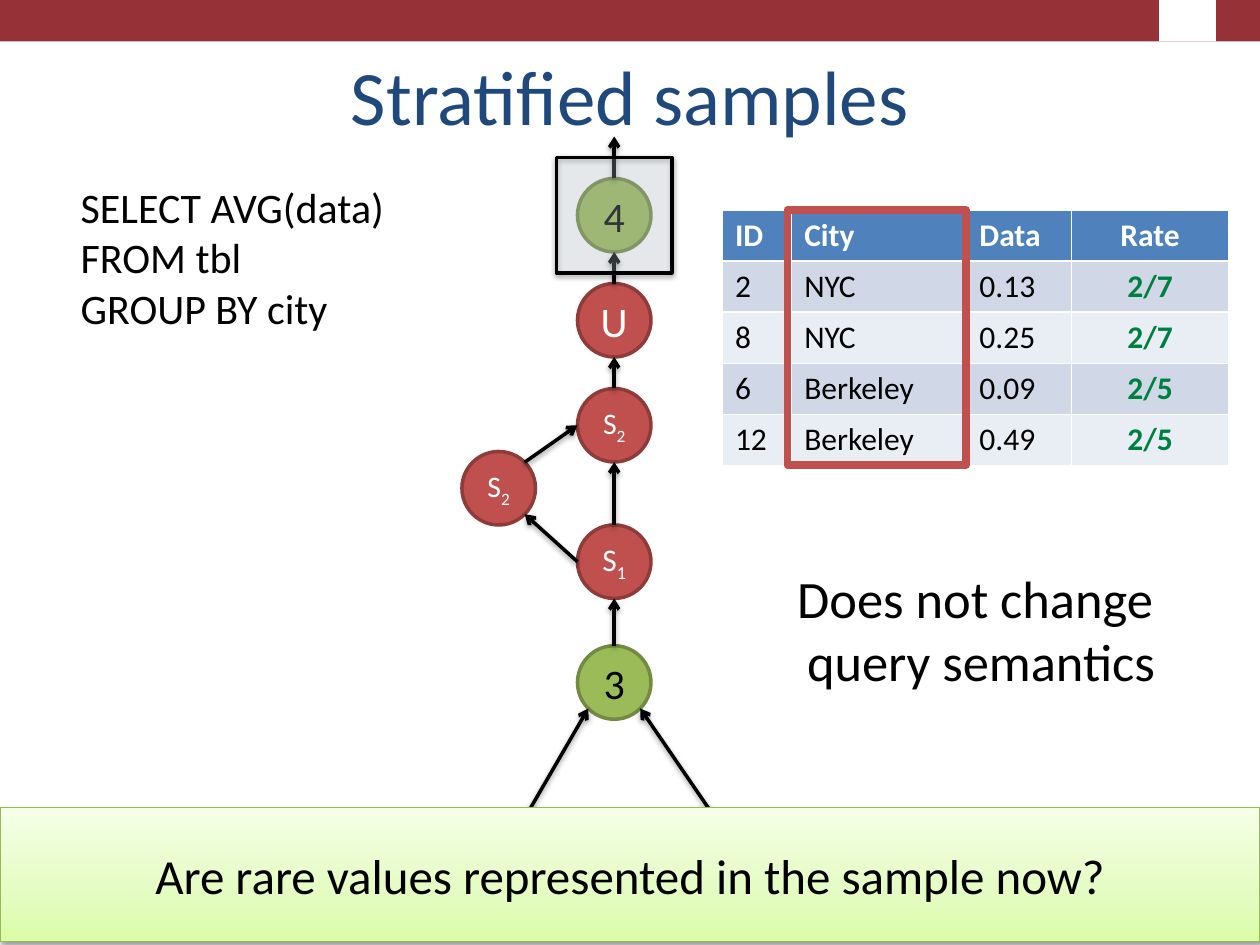
from copy import deepcopy
from math import cos, radians, sin

from lxml import etree
from pptx import Presentation
from pptx.dml.color import RGBColor
from pptx.enum.shapes import MSO_CONNECTOR, MSO_SHAPE
from pptx.enum.text import MSO_ANCHOR, PP_ALIGN
from pptx.oxml import parse_xml
from pptx.oxml.ns import nsdecls, qn
from pptx.util import Inches, Pt

FONT = "Calibri"
BLACK = RGBColor(0x00, 0x00, 0x00)
WHITE = RGBColor(0xFF, 0xFF, 0xFF)
MAROON = RGBColor(0x96, 0x32, 0x37)
NAVY = RGBColor(0x1F, 0x49, 0x7D)
BLUE = RGBColor(0x4F, 0x81, 0xBD)
GREEN, GREEN_EDGE = RGBColor(0x9B, 0xBB, 0x59), RGBColor(0x73, 0x8A, 0x42)
RED, RED_EDGE = RGBColor(0xC0, 0x50, 0x4D), RGBColor(0x8E, 0x3B, 0x39)
RATE_GREEN = RGBColor(0x00, 0x80, 0x40)
ICE = RGBColor(0xDC, 0xE6, 0xF2)
BANDS = RGBColor(0xD0, 0xD8, 0xE8), RGBColor(0xE9, 0xED, 0xF4)
LIME_EDGE = RGBColor(0x98, 0xB9, 0x55)
LIMES = (RGBColor(0xDA, 0xFD, 0xA7), RGBColor(0xE4, 0xFC, 0xC2),
         RGBColor(0xF5, 0xFF, 0xE7))

COLS, ROWS = 120, 90  # slide grid, twelve cells to the inch
NODE = 7  # node diameter in grid cells


def grid(*cells):
    return [Inches(c / 12) for c in cells]


def add_shadow(sp):
    sp._element.spPr.append(parse_xml(
        f'<a:effectLst {nsdecls("a")}><a:outerShdw blurRad="40000" dist="20000" '
        'dir="5400000" rotWithShape="0"><a:srgbClr val="000000">'
        '<a:alpha val="38000"/></a:srgbClr></a:outerShdw></a:effectLst>'))


def add_run(p, text, size, color=BLACK, bold=False):
    r = p.add_run()
    r.text = text
    f = r.font
    f.name, f.size, f.bold = FONT, Pt(size), bold
    f.color.rgb = color
    return r


def add_box(slide, kind, box, fill=None, edge=None, width=2, shadow=False):
    sp = slide.shapes.add_shape(kind, *grid(*box))
    if fill is None:
        sp.fill.background()
    else:
        sp.fill.solid()
        sp.fill.fore_color.rgb = fill
    if edge is None:
        sp.line.fill.background()
    else:
        sp.line.color.rgb = edge
        sp.line.width = Pt(width)
    if shadow:
        add_shadow(sp)
    else:
        sp.shadow.inherit = False
    return sp


def add_text(slide, box, lines, size, color=BLACK, align=PP_ALIGN.CENTER,
             anchor=MSO_ANCHOR.TOP):
    tf = slide.shapes.add_textbox(*grid(*box)).text_frame
    tf.word_wrap = True
    tf.vertical_anchor = anchor
    for i, line in enumerate(lines):
        p = tf.paragraphs[0] if i == 0 else tf.add_paragraph()
        p.alignment = align
        add_run(p, line, size, color)


def header_bar(slide, box):
    x, y, w, h = box
    add_box(slide, MSO_SHAPE.RECTANGLE, box, MAROON)
    add_box(slide, MSO_SHAPE.RECTANGLE, (x + 0.92 * w, y, 0.045 * w, h), WHITE)


def add_node(slide, x, y, text, sub, size, green):
    fill, edge, ink = (GREEN, GREEN_EDGE, BLACK) if green else (RED, RED_EDGE, WHITE)
    sp = add_box(slide, MSO_SHAPE.OVAL, (x, y, NODE, NODE), fill, edge)
    tf = sp.text_frame
    tf.margin_left = tf.margin_right = 0
    tf.vertical_anchor = MSO_ANCHOR.MIDDLE
    p = tf.paragraphs[0]
    p.alignment = PP_ALIGN.CENTER
    add_run(p, text, size, ink)
    if sub:
        r = add_run(p, sub, size, ink)
        r.font._element.set("baseline", "-25000")


def add_arrow(slide, start, end):
    cn = slide.shapes.add_connector(MSO_CONNECTOR.STRAIGHT, *grid(*start, *end))
    cn.line.color.rgb = BLACK
    cn.line.width = Pt(2)
    etree.SubElement(cn.line._get_or_add_ln(), qn("a:tailEnd"), type="arrow")
    add_shadow(cn)


def query_plan(slide, box):
    left, top, w, h = box
    main = left + w / 2
    bottom = top + h
    places = {"out": (main, top + 4), "union": (main, top + 14),
              "upper": (main, top + 24), "side": (left, top + 30),
              "lower": (main, top + 37), "join": (main, top + 48.5)}
    nodes = [("out", "4", "", 24, True), ("join", "3", "", 24, True),
             ("lower", "S", "1", 18, False), ("side", "S", "2", 17, False),
             ("upper", "S", "2", 17, False), ("union", "U", "", 24, False)]
    for name, text, sub, size, green in nodes:
        add_node(slide, *places[name], text, sub, size, green)

    def rim(name, angle):
        """Point on a node's edge, counter-clockwise from the right."""
        x, y = places[name]
        r, a = NODE / 2, radians(angle)
        return x + r + r * cos(a), y + r - r * sin(a)

    for low, high in (("join", "lower"), ("lower", "upper"),
                      ("upper", "union"), ("union", "out")):
        add_arrow(slide, rim(low, 90), rim(high, 270))
    add_arrow(slide, rim("out", 90), (main + NODE / 2, top))
    add_arrow(slide, rim("lower", 180), rim("side", 315))
    add_arrow(slide, rim("side", 45), rim("upper", 180))
    add_arrow(slide, (main - 4.5, bottom), rim("join", 225))
    add_arrow(slide, (main + 12.5, bottom), rim("join", 315))

    frame = add_box(slide, MSO_SHAPE.RECTANGLE, (main - 2, top + 2, 11, 11),
                    ICE, BLACK, shadow=True)
    color = frame._element.spPr.find(qn("a:solidFill"))[0]
    etree.SubElement(color, qn("a:alpha"), val="23000")


def sample_table(slide, box):
    x, y, w, h = box
    rows = [("ID", "City", "Data", "Rate"),
            ("2", "NYC", "0.13", "2/7"),
            ("8", "NYC", "0.25", "2/7"),
            ("6", "Berkeley", "0.09", "2/5"),
            ("12", "Berkeley", "0.49", "2/5")]
    widths = 0.55, 1.39, 0.83, 1.25
    table = slide.shapes.add_table(len(rows), len(widths), *grid(*box)).table
    for col, width in zip(table.columns, widths):
        col.width = Inches(width)
    for i, row in enumerate(rows):
        for j, text in enumerate(row):
            cell = table.cell(i, j)
            cell.fill.solid()
            cell.fill.fore_color.rgb = BANDS[(i - 1) % 2] if i else BLUE
            rate = j == len(row) - 1
            p = cell.text_frame.paragraphs[0]
            p.alignment = PP_ALIGN.CENTER if rate else PP_ALIGN.LEFT
            ink = WHITE if i == 0 else RATE_GREEN if rate else BLACK
            add_run(p, text, 18, ink, bold=i == 0 or rate)
    add_box(slide, MSO_SHAPE.RECTANGLE, (x + 6.2, y, 17, h), None, RED, 4.5)


def query_text(slide, box):
    tf = slide.shapes.add_textbox(*grid(*box)).text_frame
    tf.word_wrap = False
    p = tf.paragraphs[0]
    for i, line in enumerate(("SELECT AVG(data) ", "FROM tbl ", "GROUP BY city")):
        if i:
            p.add_line_break()
        add_run(p, line, 24)


def question_banner(slide, box):
    sp = add_box(slide, MSO_SHAPE.RECTANGLE, box, None, LIME_EDGE, 0.75, shadow=True)
    sp.fill.gradient()
    sp.fill.gradient_angle = 90
    first = sp.fill.gradient_stops[0]._gs
    first.addnext(deepcopy(first))
    for stop, color, pos in zip(sp.fill.gradient_stops, LIMES, (0, 0.35, 1)):
        stop.color.rgb = color
        stop.position = pos
    tf = sp.text_frame
    tf.vertical_anchor = MSO_ANCHOR.MIDDLE
    p = tf.paragraphs[0]
    p.alignment = PP_ALIGN.CENTER
    add_run(p, "Are rare values represented in the sample now?", 28)


def main():
    prs = Presentation()
    prs.slide_width, prs.slide_height = grid(COLS, ROWS)
    slide = prs.slides.add_slide(prs.slide_layouts[6])
    header_bar(slide, (0, 0, COLS, 3.95))
    query_plan(slide, (44, 13, 22, 64))
    sample_table(slide, (68.8, 20, 48.2, 24.3))
    add_text(slide, (71, 53.3, 44.9, 13.3),
             ("Does not change ", "query semantics"), 30)
    add_text(slide, (6, 3.6, 108, 10.4), ("Stratified samples",), 44, NAVY,
             anchor=MSO_ANCHOR.BOTTOM)
    question_banner(slide, (0, 76.9, COLS, 12.8))
    query_text(slide, (6.5, 16.7, 32.5, 15.7))
    prs.save("out.pptx")


if __name__ == "__main__":
    main()
